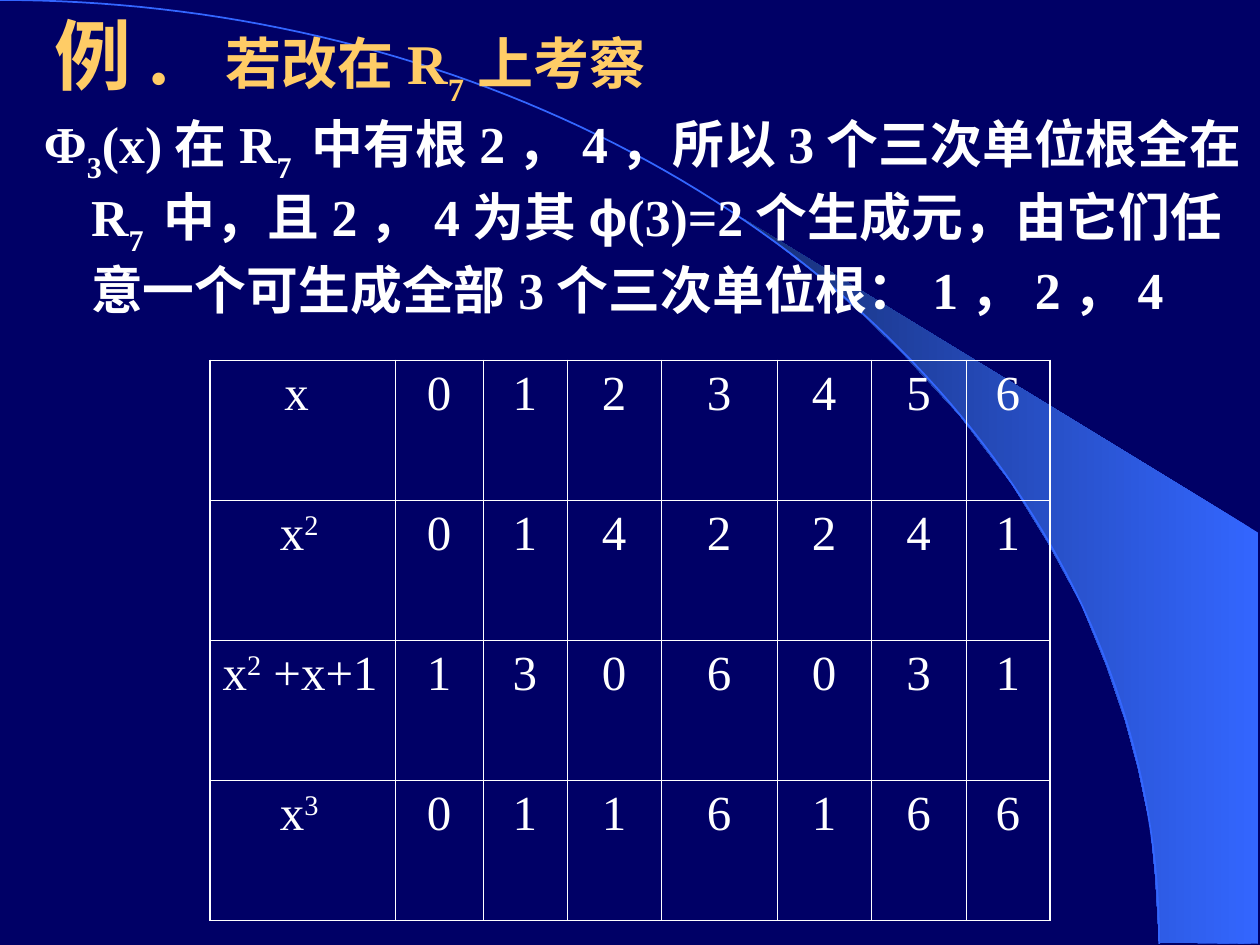
from math import cos, pi, sin
from lxml.etree import SubElement
from pptx import Presentation
from pptx.dml.color import RGBColor
from pptx.enum.text import MSO_ANCHOR, PP_ALIGN
from pptx.oxml.ns import qn
from pptx.util import Pt

# Content: text runs are (text, baseline in percent)
TITLE = [("例.\t", 0), ("若改在R", 0), ("7", -30), ("上考察", 0)]
BODY = [("Φ", 0), ("3", -30), ("(x)在R", 0), ("7 ", -30),
        ("中有根2，4，所以3个三次单位根全在R", 0), ("7 ", -30),
        ("中，且2，4为其", 0), ("ϕ", 0),
        ("(3)=2个生成元，由它们任意一个可生成全部3个三次单位根：1，2，4", 0)]
ROWS = [
    ([("x ", 0)], "0123456"),
    ([("x", 0), ("2 ", 30)], "0142241"),
    ([("x", 0), ("2", 30), (" +x+1", 0)], "1306031"),
    ([("x", 0), ("3 ", 30)], "0116166"),
]
COLS = [106, 50, 48, 54, 66, 54, 54, 48]
HIGH = 80
BAND = [(662.4, 538.6), (719.3, 539.3), (719.3, 304.6), (424.1, 124.6),
        (449.3, 143.3), (470.2, 159.8), (493.2, 180), (515.5, 201.6),
        (548.6, 237.6), (578.2, 276.5), (599, 310.3), (617.8, 344.9),
        (632.2, 380.2), (643, 411.8), (650.2, 438.5), (657.4, 472.3),
        (660.2, 501.1)]
ARC = (662.4, 539.3)  # radii of the quarter ellipse
HUES = {"back": "000066", "blue": "3366FF", "dark": "172F75",
        "gold": "FFCC66", "white": "FFFFFF"}
FONT = "Times New Roman"


def hue(name):
    return RGBColor.from_string(HUES[name])


def write(para, runs, size, color, bold=False):
    for text, base in runs:
        run = para.add_run()
        run.text = text
        font = run.font
        font.name, font.size, font.bold = FONT, Pt(size), bold
        font.color.rgb = hue(color)
        if base:
            font._element.set("baseline", str(base * 1000))


def box(left, top, width, height):
    frame = slide.shapes.add_textbox(
        Pt(left), Pt(top), Pt(width), Pt(height)).text_frame
    frame.word_wrap = True
    return frame


def outline(points, close):
    grid = [(x * 100, y * 100) for x, y in points]
    pen = slide.shapes.build_freeform(*grid[0], scale=Pt(1) / 100)
    pen.add_line_segments(grid[1:], close=close)
    shape = pen.convert_to_shape()
    shape.shadow.inherit = False
    return shape


def edge(cell, side, width):
    line = SubElement(cell._tc.get_or_add_tcPr(), qn("a:ln" + side),
                      w=str(Pt(width)))
    fill = SubElement(line, qn("a:solidFill"))
    SubElement(fill, qn("a:srgbClr"), val=HUES["white"])


deck = Presentation()
deck.slide_width, deck.slide_height = Pt(720), Pt(540)
slide = deck.slides.add_slide(deck.slide_layouts[6])
slide.background.fill.solid()
slide.background.fill.fore_color.rgb = hue("back")

# Shaded band and arc behind the text
band = outline(BAND, True)
band.line.fill.background()
band.fill.gradient()
band.fill.gradient_angle = 180
for stop, name in zip(band.fill.gradient_stops, ("blue", "dark")):
    stop.color.rgb = hue(name)

steps = 90
turns = [i * pi / 2 / steps for i in range(steps + 1)]
arc = outline([(ARC[0] * sin(t), ARC[1] * (1 - cos(t))) for t in turns], False)
arc.fill.background()
arc.line.color.rgb = hue("blue")
arc.line.width = Pt(1)

# Title, with a tab stop after the large heading
head = box(24, -12, 612, 90)
head.vertical_anchor = MSO_ANCHOR.MIDDLE
para = head.paragraphs[0]
tabs = SubElement(para._p.get_or_add_pPr(), qn("a:tabLst"))
SubElement(tabs, qn("a:tab"), pos=str(Pt(98)), algn="l")
write(para, TITLE, 32, "gold", True)
para.runs[0].font.size = Pt(44)

# Body, with a hanging indent
para = box(18, 60, 700, 165).paragraphs[0]
props = para._p.get_or_add_pPr()
props.set("marL", str(Pt(27)))
props.set("indent", str(Pt(-27)))
write(para, BODY, 29.6, "white", True)
for run in para.runs:
    if run.text == "ϕ":
        run.font.name = "Arial"

# Table of values
grid = slide.shapes.add_table(len(ROWS), len(COLS), Pt(120), Pt(206),
                              Pt(sum(COLS)), Pt(HIGH * len(ROWS))).table
grid.first_row = grid.horz_banding = False
for col, width in zip(grid.columns, COLS):
    col.width = Pt(width)
for r, (label, values) in enumerate(ROWS):
    grid.rows[r].height = Pt(HIGH)
    for c, runs in enumerate([label] + [[(v, 0)] for v in values]):
        cell = grid.cell(r, c)
        para = cell.text_frame.paragraphs[0]
        para.alignment = PP_ALIGN.LEFT if len(runs) == 3 else PP_ALIGN.CENTER
        write(para, runs, 28, "white")
        outer = {"L": c == 0, "R": c == len(COLS) - 1,
                 "T": r == 0, "B": r == len(ROWS) - 1}
        for side, thick in outer.items():
            edge(cell, side, 1.08 if thick else 0.45)
        cell.fill.background()

deck.save("out.pptx")
